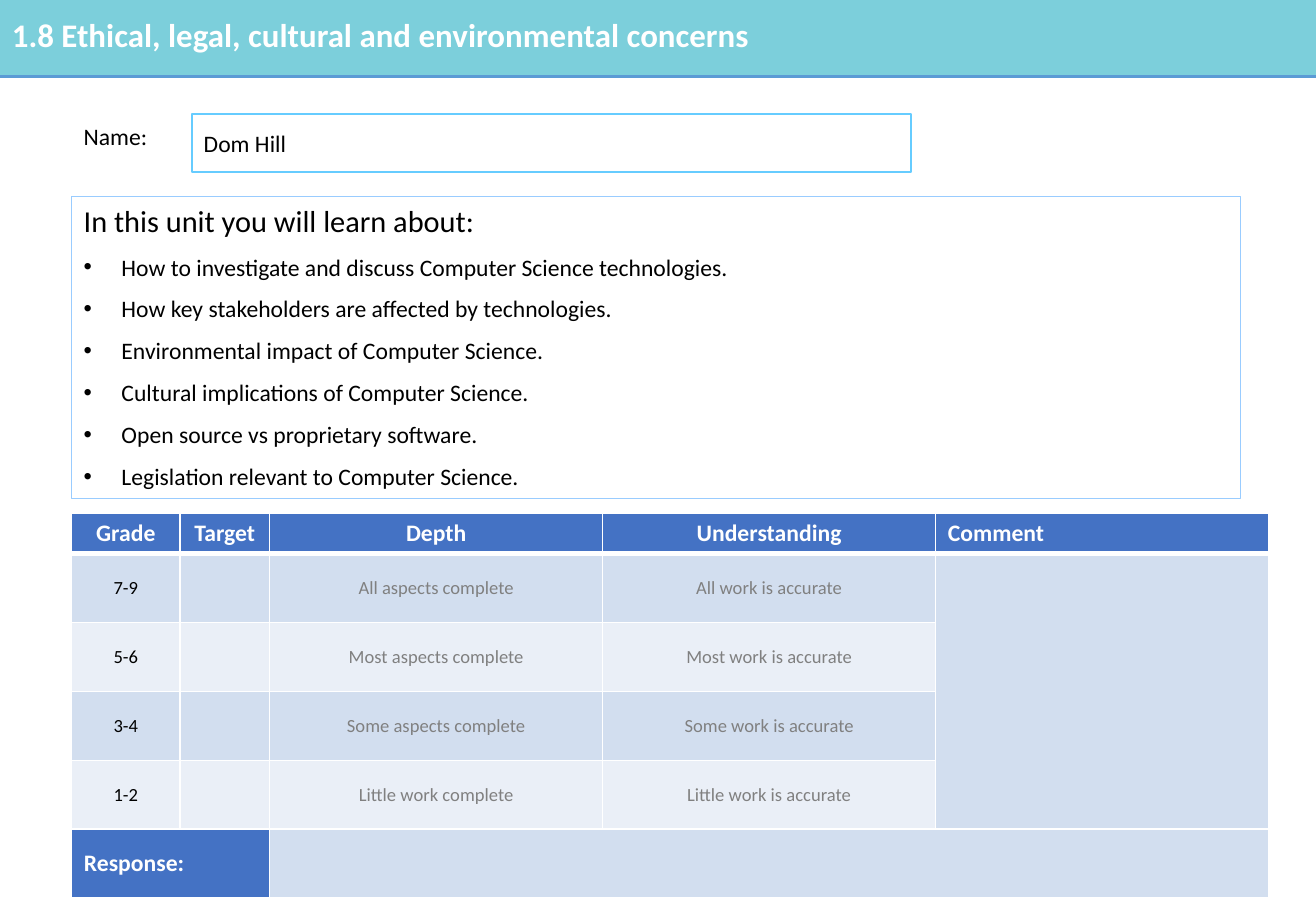
import dataclasses

import pptx
import pptx.dml.color
import pptx.enum.shapes
import pptx.enum.text
import pptx.oxml
import pptx.oxml.ns
import pptx.util

Cm = pptx.util.Cm
Pt = pptx.util.Pt
RGB = pptx.dml.color.RGBColor.from_string
ALIGN = pptx.enum.text.PP_ALIGN
ANCHOR = pptx.enum.text.MSO_ANCHOR
SHAPE = pptx.enum.shapes.MSO_SHAPE
NS = pptx.oxml.ns.nsdecls("a")


@dataclasses.dataclass(frozen=True)
class Theme:
    font: str = "Calibri"
    banner: str = "7CCFDB"
    rule: str = "5B9BD5"
    unit_line: str = "99CCFF"
    name_line: str = "66CCFF"
    header: str = "4472C4"
    bands: tuple = ("D2DEEF", "EAEFF7")
    white: str = "FFFFFF"
    black: str = "000000"
    grey: str = "808080"
    title_size: float = 19.5
    heading_size: float = 18
    body_size: float = 14
    cell_size: float = 11


THEME = Theme()
WIDTH, HEIGHT = 27.51, 19.05

TITLE = "1.8 Ethical, legal, cultural and environmental concerns"
TOPICS = [
    "How to investigate and discuss Computer Science technologies.",
    "How key stakeholders are affected by technologies.",
    "Environmental impact of Computer Science.",
    "Cultural implications of Computer Science.",
    "Open source vs proprietary software.",
    "Legislation relevant to Computer Science.",
]
HEADINGS = ["Grade", "Target", "Depth", "Understanding", "Comment"]
GRADES = [
    ("7-9", "All aspects complete", "All work is accurate"),
    ("5-6", "Most aspects complete", "Most work is accurate"),
    ("3-4", "Some aspects complete", "Some work is accurate"),
    ("1-2", "Little work complete", "Little work is accurate"),
]


def add_text(tf, text, size=THEME.body_size, color=THEME.black, bold=False,
             align=ALIGN.LEFT, before=0, bullet=False, new=False):
    p = tf.add_paragraph() if new else tf.paragraphs[0]
    p.alignment = align
    p.space_before = Pt(before)
    if bullet:
        pPr = p._p.get_or_add_pPr()
        pPr.set("marL", str(Cm(0.79)))
        pPr.set("indent", str(-Cm(0.79)))
        pPr.append(pptx.oxml.parse_xml(f'<a:buFont {NS} typeface="Arial"/>'))
        pPr.append(pptx.oxml.parse_xml(f'<a:buChar {NS} char="•"/>'))
    r = p.add_run()
    r.text = text
    r.font.name = THEME.font
    r.font.size = Pt(size)
    r.font.bold = bold
    r.font.color.rgb = RGB(color)


def add_label(s, x, y, w, h, wrap=True):
    tf = s.shapes.add_textbox(Cm(x), Cm(y), Cm(w), Cm(h)).text_frame
    tf.word_wrap = wrap
    return tf


def add_box(s, x, y, w, h, fill=None, line=None, weight=1, anchor=ANCHOR.TOP):
    sp = s.shapes.add_shape(SHAPE.RECTANGLE, Cm(x), Cm(y), Cm(w), Cm(h))
    sp.shadow.inherit = False
    if fill:
        sp.fill.solid()
        sp.fill.fore_color.rgb = RGB(fill)
    else:
        sp.fill.background()
    if line:
        sp.line.color.rgb = RGB(line)
        sp.line.width = Pt(weight)
    else:
        sp.line.fill.background()
    tf = sp.text_frame
    tf.word_wrap = True
    tf.vertical_anchor = anchor
    return tf


def add_banner(s, x, y, w, h):
    add_box(s, x, y, w, h, fill=THEME.banner)
    rule = s.shapes.add_connector(pptx.enum.shapes.MSO_CONNECTOR.STRAIGHT,
                                  Cm(x), Cm(y + h), Cm(x + w), Cm(y + h))
    rule.line.color.rgb = RGB(THEME.rule)
    rule.line.width = Pt(2.25)
    rule._element.spPr.append(pptx.oxml.parse_xml(f"<a:effectLst {NS}/>"))
    tf = add_label(s, x, y + 0.18, w - 3.43, 1.09)
    add_text(tf, TITLE, size=THEME.title_size, color=THEME.white, bold=True)


def add_name_row(s, x, y, w, h):
    add_text(add_label(s, x, y + 0.05, 1.85, 0.86, wrap=False), "Name:")
    tf = add_box(s, x + 2.51, y, w - 2.51, h, line=THEME.name_line, anchor=ANCHOR.MIDDLE)
    add_text(tf, "Dom Hill")


def add_unit_box(s, x, y, w, h):
    tf = add_box(s, x, y, w, h, line=THEME.unit_line, weight=0.75)
    add_text(tf, "In this unit you will learn about:", size=THEME.heading_size, before=12)
    for topic in TOPICS:
        add_text(tf, topic, before=8, bullet=True, new=True)


def style_cell(cell, fill, top=1, bottom=1):
    cell.vertical_anchor = ANCHOR.MIDDLE
    cell.fill.solid()
    cell.fill.fore_color.rgb = RGB(fill)
    tcPr = cell._tc.get_or_add_tcPr()
    for i, (side, weight) in enumerate(zip("LRTB", (1, 1, top, bottom))):
        tcPr.insert(i, pptx.oxml.parse_xml(
            f'<a:ln{side} {NS} w="{Pt(weight)}"><a:solidFill>'
            f'<a:srgbClr val="{THEME.white}"/></a:solidFill></a:ln{side}>'))


def add_grade_table(s, x, y, w, h):
    header_h, grade_w, target_w = 0.83, 2.26, 1.88
    last = len(GRADES) + 1
    table = s.shapes.add_table(last + 1, len(HEADINGS), Cm(x), Cm(y), Cm(w), Cm(h)).table
    wide = (w - grade_w - target_w) / 3
    for col, width in zip(table.columns, [grade_w, target_w] + [wide] * 3):
        col.width = Cm(width)
    for i, row in enumerate(table.rows):
        row.height = Cm((h - header_h) / last if i else header_h)
        for j, cell in enumerate(row.cells):
            if i == 0 or (i == last and j < 2):
                fill = THEME.header
            elif j == len(HEADINGS) - 1:
                fill = THEME.bands[0]
            else:
                fill = THEME.bands[(i - 1) % 2]
            style_cell(cell, fill, top=3 if i == 1 else 1, bottom=3 if i == 0 else 1)

    table.cell(1, 4).merge(table.cell(last - 1, 4))
    table.cell(last, 0).merge(table.cell(last, 1))
    table.cell(last, 2).merge(table.cell(last, 4))

    for j, heading in enumerate(HEADINGS):
        cell = table.cell(0, j)
        cell.vertical_anchor = ANCHOR.TOP
        add_text(cell.text_frame, heading, color=THEME.white, bold=True,
                 align=ALIGN.LEFT if heading == "Comment" else ALIGN.CENTER)
    for i, grade in enumerate(GRADES, 1):
        for j, text in zip((0, 2, 3), grade):
            add_text(table.cell(i, j).text_frame, text, size=THEME.cell_size,
                     color=THEME.grey if j else THEME.black, align=ALIGN.CENTER)
    add_text(table.cell(last, 0).text_frame, "Response:", color=THEME.white, bold=True)


def main():
    prs = pptx.Presentation()
    prs.slide_width, prs.slide_height = Cm(WIDTH), Cm(HEIGHT)
    s = prs.slides.add_slide(prs.slide_layouts[6])
    left = 1.5
    add_banner(s, 0, 0, WIDTH, 1.6)
    add_unit_box(s, left, 4.11, 24.43, 6.32)
    add_name_row(s, left, 2.38, 17.55, 1.22)
    add_grade_table(s, left, 10.73, 25.02, 8.03)
    prs.save("out.pptx")


if __name__ == "__main__":
    main()
